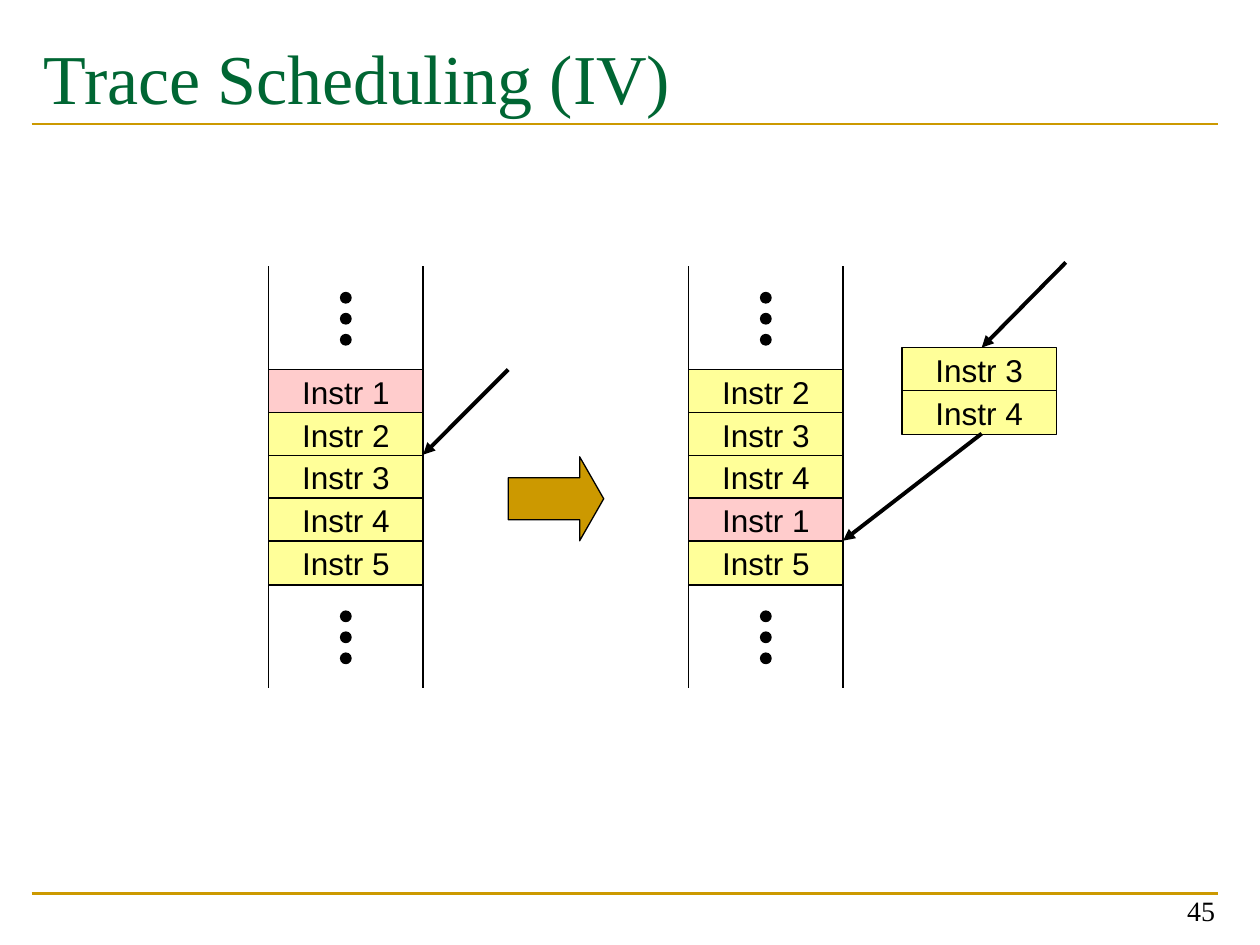
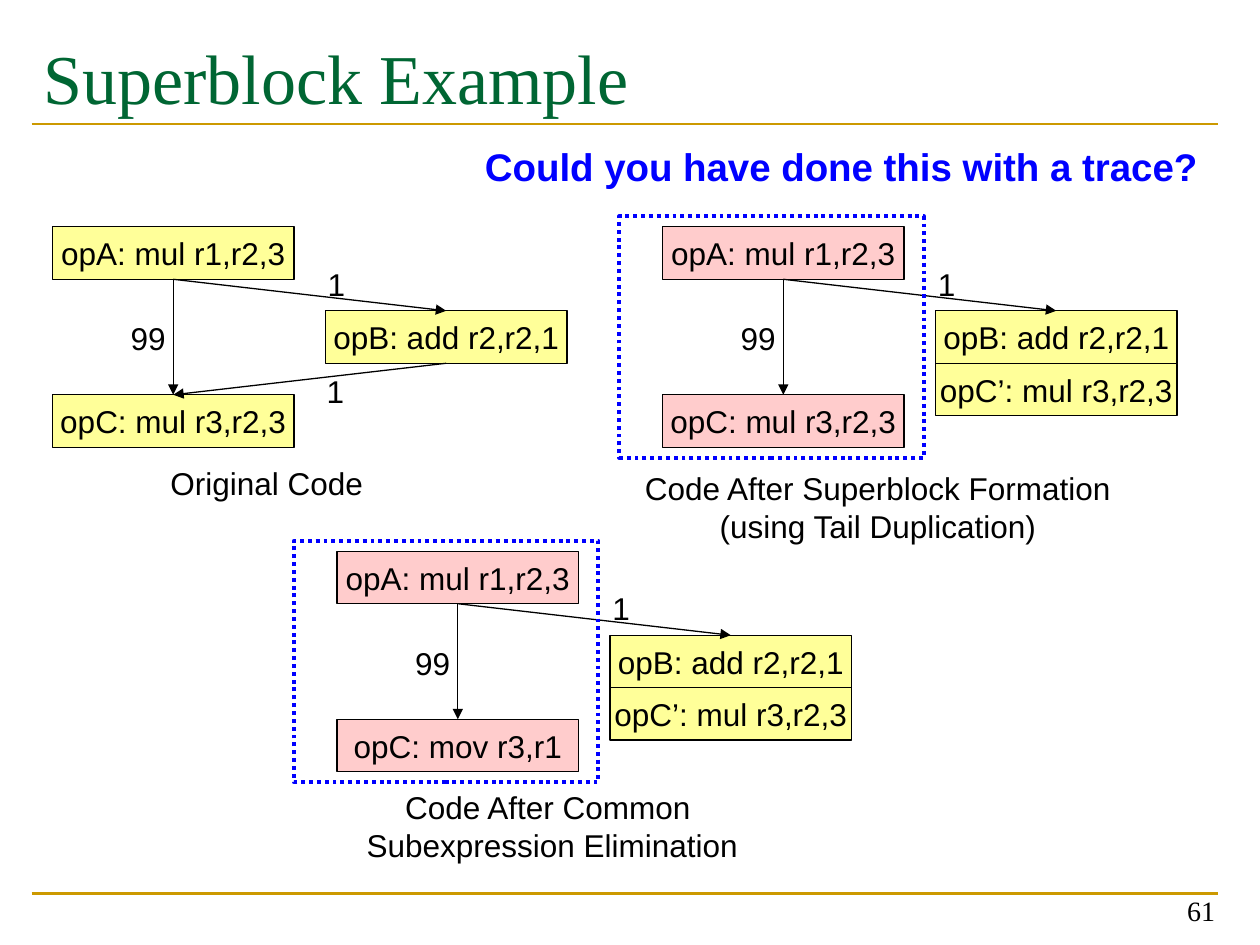
from dataclasses import dataclass

from lxml import etree
from pptx import Presentation
from pptx.dml.color import RGBColor
from pptx.enum.dml import MSO_LINE
from pptx.enum.shapes import MSO_CONNECTOR, MSO_SHAPE
from pptx.enum.text import MSO_ANCHOR, PP_ALIGN
from pptx.oxml.ns import qn
from pptx.slide import Slide
from pptx.util import Emu, Inches, Pt

RECT, OVAL, ARROW = MSO_SHAPE.RECTANGLE, MSO_SHAPE.OVAL, MSO_SHAPE.RIGHT_ARROW
STRAIGHT, DOTTED = MSO_CONNECTOR.STRAIGHT, MSO_LINE.ROUND_DOT
TOP, MIDDLE, BOTTOM = MSO_ANCHOR.TOP, MSO_ANCHOR.MIDDLE, MSO_ANCHOR.BOTTOM
LEFT, CENTER, RIGHT = PP_ALIGN.LEFT, PP_ALIGN.CENTER, PP_ALIGN.RIGHT

# The slide is a grid of 120 columns by 90 rows, all cells square
WIDTH, HEIGHT = Inches(10), Inches(7.5)
COLS = 120
CELL = WIDTH / COLS

COLORS = {"ink": "000000", "title": "006633", "gold": "CC9900",
          "pink": "FFCCCC", "yellow": "FFFF99", "blue": "0000FF"}


@dataclass(frozen=True)
class Style:
    """Look of a piece of text."""
    size: int = 18
    font: str = "Arial"
    color: str = "ink"
    bold: bool = False
    align: PP_ALIGN = CENTER
    anchor: MSO_ANCHOR = MIDDLE
    wrap: bool = False
    inset: float = 0.05


BODY = Style()
TITLE = Style(40, "Times New Roman", "title", align=LEFT, anchor=TOP, wrap=True, inset=0.11)
NUMBER = Style(16, "Times New Roman", align=RIGHT, anchor=BOTTOM, wrap=True)
ASIDE = Style(22, color="blue", bold=True, align=LEFT, anchor=TOP)


@dataclass(frozen=True)
class Box:
    """Place in grid cells."""
    x: float
    y: float
    w: float
    h: float

    def cells(self) -> list[Emu]:
        return [span(n) for n in (self.x, self.y, self.w, self.h)]


@dataclass(frozen=True)
class Stack:
    """Column of instructions: x, numbers from the top, and the pink one."""
    x: float
    order: tuple[int, ...]


@dataclass(frozen=True)
class Flow:
    """Code graph; the caption box is relative to the corner of opA."""
    x: float
    y: float
    last: str
    caption: str
    place: Box
    block: bool = True


def span(n: float) -> Emu:
    return Emu(round(n * CELL))


def rgb(name: str) -> RGBColor:
    return RGBColor.from_string(COLORS[name])


# Drawing helpers
def write(shape, text: str, style: Style = BODY) -> None:
    frame = shape.text_frame
    frame.text = text
    form = {"word_wrap": style.wrap, "vertical_anchor": style.anchor,
            "margin_top": Inches(style.inset)}
    for key, value in form.items():
        setattr(frame, key, value)
    look = {"size": Pt(style.size), "name": style.font, "bold": style.bold}
    for para in frame.paragraphs:
        para.alignment = style.align
        for run in para.runs:
            for key, value in look.items():
                setattr(run.font, key, value)
            run.font.color.rgb = rgb(style.color)


def label(slide: Slide, box: Box, text: str, style: Style = BODY) -> None:
    write(slide.shapes.add_textbox(*box.cells()), text, style)


def draw(slide: Slide, kind: MSO_SHAPE, box: Box, fill: str = "",
         line: str = "ink", weight: float = 0.75):
    shape = slide.shapes.add_shape(kind, *box.cells())
    shape.shadow.inherit = False
    if fill:
        shape.fill.solid()
        shape.fill.fore_color.rgb = rgb(fill)
    else:
        shape.fill.background()
    shape.line.color.rgb = rgb(line)
    shape.line.width = Pt(weight)
    return shape


def link(slide: Slide, x1: float, y1: float, x2: float, y2: float,
         weight: float = 0.75, color: str = "ink", head: bool = False) -> None:
    wire = slide.shapes.add_connector(STRAIGHT, *map(span, (x1, y1, x2, y2)))
    wire.line.color.rgb = rgb(color)
    wire.line.width = Pt(weight)
    if head:
        etree.SubElement(wire.line._get_or_add_ln(), qn("a:tailEnd"), type="triangle")
    etree.SubElement(wire._element.spPr, qn("a:effectLst"))


def start(deck, title: str, number: int) -> Slide:
    """New slide with the shared rules, title and number."""
    slide = deck.slides.add_slide(deck.slide_layouts[6])
    for y in (85.1, 11.8):
        link(slide, 3, y, 116, y, 1.5, "gold")
    label(slide, Box(3, 2, 113, 14), title, TITLE)
    label(slide, Box(88.9, 82.9, 28, 6), str(number), NUMBER)
    return slide


# Slide with the instruction stacks
WIDE, TALL, STEP = 14.7, 4.2, 4.08
RAIL, FIRST, REST = 9.84, 35.2, 55.7
STACKS = (Stack(25.6, (1, 2, 3, 4, 5)), Stack(65.6, (2, 3, 4, 1, 5)))


def pile(slide: Slide, x: float, y: float, order: tuple[int, ...]) -> None:
    for row, num in enumerate(order):
        fill = "pink" if num == 1 else "yellow"
        cell = draw(slide, RECT, Box(x, y + row * STEP, WIDE, TALL), fill)
        write(cell, f"Instr {num}")


def trace(deck) -> None:
    slide = start(deck, "Trace Scheduling (IV)", 45)
    for stack in STACKS:
        pile(slide, stack.x, FIRST, stack.order)
        for top in (FIRST - RAIL, REST):
            for x in (stack.x, stack.x + WIDE):
                link(slide, x, top, x, top + RAIL)
            for dot in range(3):
                draw(slide, OVAL, Box(stack.x + 6.84, top + 2.5 + 2 * dot, 1, 1), "ink")
    pile(slide, 85.9, 33.1, (3, 4))

    # Entries into the code, and the big arrow between the stacks
    for ends in ((48.4, 35.2, 40.3, 43.3), (93.5, 41.3, 80.3, 51.5),
                 (101.5, 25, 93.5, 33.1)):
        link(slide, *ends, weight=2.25, head=True)
    arrow = draw(slide, ARROW, Box(48.4, 43.5, 9.1, 8), "gold")
    arrow.adjustments[1] = 0.286


# Slide with the code graphs
OP_W, OP_H = 23, 5
SIDE, DROP, DOWN = 26, 8, 16
MID = OP_W / 2
FLOWS = (
    Flow(5, 21.6, "opC: mul r3,r2,3", "Original Code", Box(10, 22, 20.8, 4.8), False),
    Flow(63.1, 21.6, "opC: mul r3,r2,3",
         "Code After Superblock Formation\n(using Tail Duplication)",
         Box(-3.1, 22.4, 47.2, 8.5)),
    Flow(32.1, 52.5, "opC: mov r3,r1",
         "Code After Common \vSubexpression Elimination", Box(1.6, 22, 37.8, 8.4)),
)


def graph(slide: Slide, flow: Flow) -> None:
    x, y = flow.x, flow.y
    main = "pink" if flow.block else "yellow"
    ops = [(0, 0, "opA: mul r1,r2,3", main), (0, DOWN, flow.last, main),
           (SIDE, DROP, "opB: add r2,r2,1", "yellow")]
    wires = [(MID, OP_H, MID, DOWN), (MID, OP_H, SIDE + MID, DROP)]
    notes = [(Box(6.2, 8.2, 5.8, 4.8), "99"), (Box(25, 3, 4.1, 4.8), "1"),
             (flow.place, flow.caption)]
    if flow.block:
        ops.append((SIDE, DROP + OP_H, "opC’: mul r3,r2,3", "yellow"))
    else:
        wires.append((SIDE + MID, DROP + OP_H, MID, DOWN))
        notes.append((Box(24.9, 13.2, 4.1, 4.8), "1"))

    for dx, dy, text, fill in ops:
        write(draw(slide, RECT, Box(x + dx, y + dy, OP_W, OP_H), fill), text)
    for x1, y1, x2, y2 in wires:
        link(slide, x + x1, y + y1, x + x2, y + y2, head=True)
    for box, text in notes:
        label(slide, Box(x + box.x, y + box.y, box.w, box.h), text)
    if flow.block:
        frame = draw(slide, RECT, Box(x - 4.1, y - 1, 29, 23), line="blue", weight=2.25)
        frame.line.dash_style = DOTTED


def blocks(deck) -> None:
    slide = start(deck, "Superblock Example", 61)
    for flow in FLOWS:
        graph(slide, flow)
    label(slide, Box(45, 13, 71.2, 5.6), "Could you have done this with a trace?", ASIDE)


def main() -> None:
    deck = Presentation()
    deck.slide_width, deck.slide_height = WIDTH, HEIGHT
    trace(deck)
    blocks(deck)
    deck.save("out.pptx")


if __name__ == "__main__":
    main()
